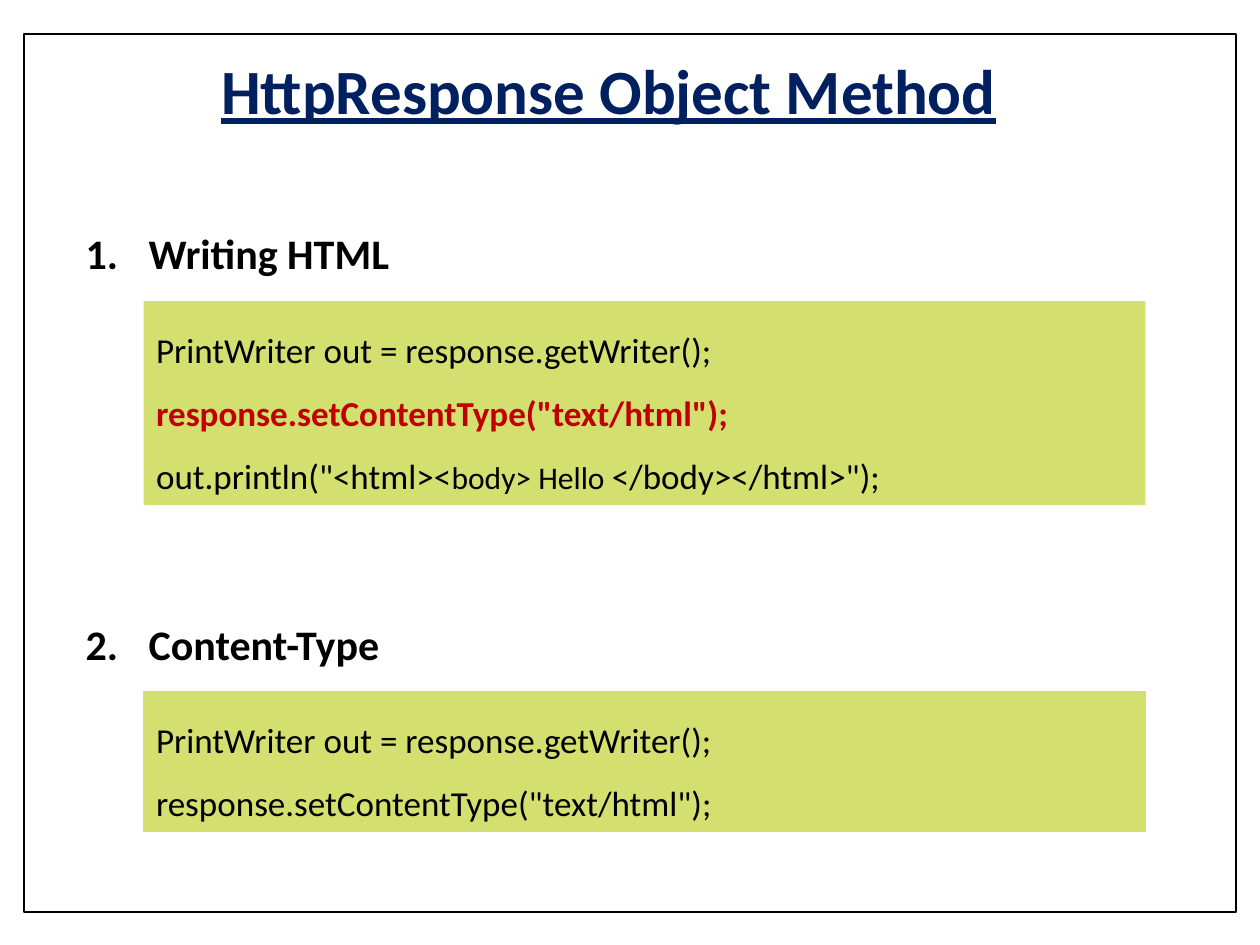
from lxml import etree
from pptx import Presentation
from pptx.dml.color import RGBColor
from pptx.enum import shapes, text
from pptx.oxml.ns import qn
from pptx.util import Pt

FONT = "Calibri"
BLACK, WHITE, NAVY, RED, LIME = "000000", "FFFFFF", "002060", "C00000", "D3E06F"
CODE = {"size": 20, "color": BLACK}
SMALL_CODE = {**CODE, "size": 18}
KEY_CODE = {**CODE, "color": RED, "bold": True}
HEADING = {"size": 24, "color": BLACK, "bold": True}
TITLE = {"size": 36, "color": NAVY, "bold": True, "underline": True}

WRITER_LINE = [("PrintWriter out = response.getWriter();", CODE)]
TYPE_CALL = 'response.setContentType("text/html");'
SECTIONS = [
    {
        "title": "Writing HTML",
        "top": 112.3,
        "code_height": 116.6,
        "outline": None,
        "lines": [
            WRITER_LINE,
            [(TYPE_CALL, KEY_CODE)],
            [
                ('out.println("<html><', CODE),
                ("body> Hello ", SMALL_CODE),
                ('</body></html>");', CODE),
            ],
        ],
    },
    {
        "title": "Content-Type",
        "top": 335.5,
        "code_height": 79.9,
        "outline": LIME,
        "lines": [WRITER_LINE, [(TYPE_CALL, CODE)]],
    },
]


def rgb(value):
    return RGBColor.from_string(value)


def write_lines(shape, lines, spacing, align, anchor):
    frame = shape.text_frame
    frame.word_wrap = True
    frame.vertical_anchor = anchor
    for index, runs in enumerate(lines):
        paragraph = frame.add_paragraph() if index else frame.paragraphs[0]
        paragraph.line_spacing = spacing
        paragraph.alignment = align
        for content, style in runs:
            run = paragraph.add_run()
            run.text = content
            run.font.color.rgb = rgb(style["color"])
            values = {"name": FONT, "bold": False, **style, "size": Pt(style["size"])}
            for name in ("name", "size", "bold", "underline"):
                if name in values:
                    setattr(run.font, name, values[name])


def number_paragraph(paragraph, number):
    properties = paragraph._p.get_or_add_pPr()
    properties.set("marL", str(Pt(36)))
    properties.set("indent", str(-Pt(36)))
    bullet_color = etree.SubElement(properties, qn("a:buClr"))
    etree.SubElement(bullet_color, qn("a:srgbClr"), val=BLACK)
    etree.SubElement(
        properties, qn("a:buAutoNum"), type="arabicPeriod", startAt=str(number)
    )


def add_rectangle(slide, box, fill, line=None, width=1):
    shape = slide.shapes.add_shape(shapes.MSO_SHAPE.RECTANGLE, *map(Pt, box))
    shape.shadow.inherit = False
    shape.fill.solid()
    shape.fill.fore_color.rgb = rgb(fill)
    if line:
        shape.line.color.rgb = rgb(line)
        shape.line.width = Pt(width)
    else:
        shape.line.fill.background()
    return shape


def add_title(slide, box):
    shape = slide.shapes.add_textbox(*map(Pt, box))
    write_lines(
        shape,
        [[("HttpResponse Object Method", TITLE)]],
        0.9,
        text.PP_ALIGN.CENTER,
        text.MSO_ANCHOR.MIDDLE,
    )


def add_section(slide, box, number, section):
    left, top, width, height = box
    code_indent, code_offset, heading_height = 40.3, 59.8, 46
    layout = (1.5, text.PP_ALIGN.LEFT, text.MSO_ANCHOR.TOP)
    heading = slide.shapes.add_textbox(*map(Pt, (left, top, width, heading_height)))
    write_lines(heading, [[(section["title"], HEADING)]], *layout)
    number_paragraph(heading.text_frame.paragraphs[0], number)
    code_box = (
        left + code_indent,
        top + code_offset,
        width - code_indent,
        height - code_offset,
    )
    code = add_rectangle(slide, code_box, LIME, section["outline"], 0.75)
    write_lines(code, section["lines"], *layout)


def main():
    presentation = Presentation()
    presentation.slide_width, presentation.slide_height = Pt(720), Pt(540)
    slide = presentation.slides.add_slide(presentation.slide_layouts[6])
    add_rectangle(slide, (13.7, 19.4, 692.6, 501.8), WHITE, BLACK)
    add_title(slide, (56.2, 36.7, 583.2, 34.6))
    for number, section in enumerate(SECTIONS, 1):
        box = (41.8, section["top"], 612.7, 59.8 + section["code_height"])
        add_section(slide, box, number, section)
    presentation.save("out.pptx")


if __name__ == "__main__":
    main()
